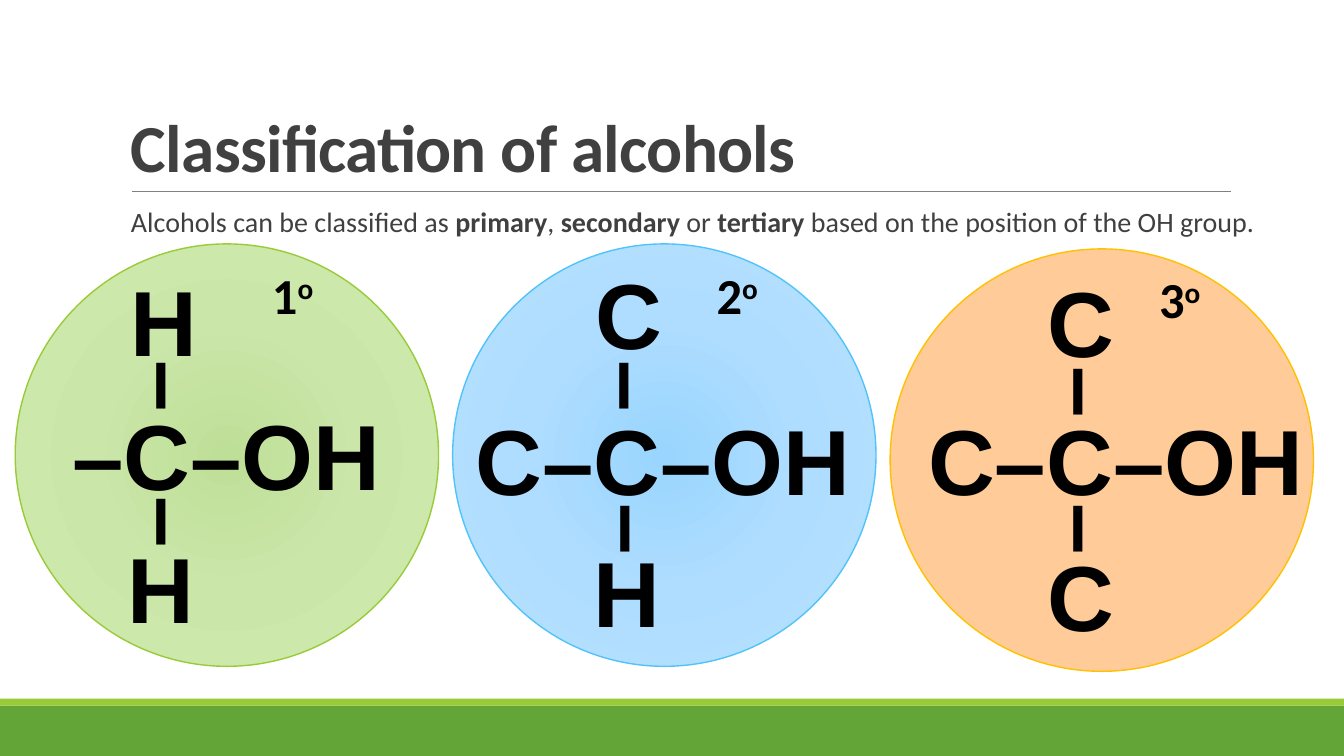
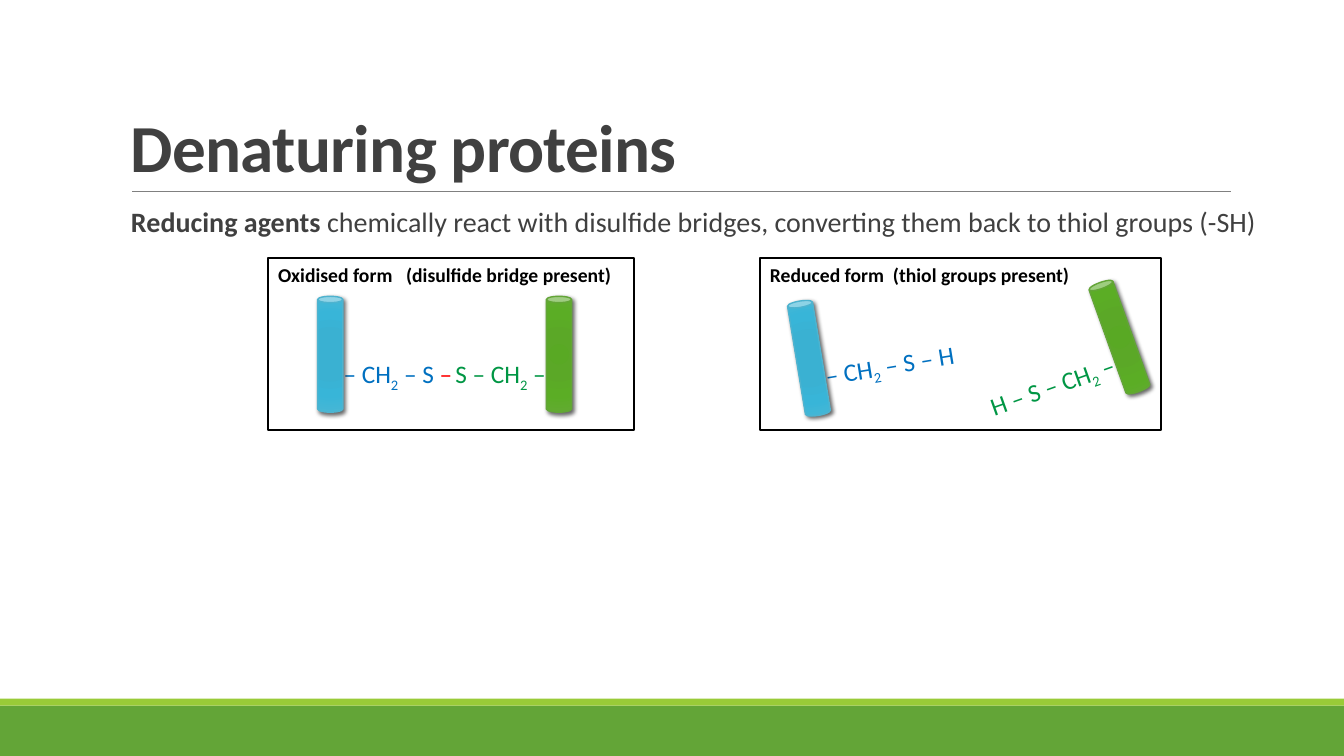
from dataclasses import dataclass
from typing import NamedTuple

from lxml.etree import SubElement
from pptx import Presentation
from pptx.dml.color import RGBColor
from pptx.enum.shapes import MSO_CONNECTOR, MSO_SHAPE
from pptx.enum.text import MSO_ANCHOR, PP_ALIGN
from pptx.oxml.ns import qn
from pptx.util import Emu, Inches, Pt


@dataclass(frozen=True)
class Theme:
    band: str = "63A537"
    stripe: str = "99CB38"
    rule: str = "808080"
    body: str = "404040"
    ink: str = "000000"
    blue: str = "0070C0"
    green: str = "009644"
    red: str = "FF0000"
    text_font: str = "Calibri"
    formula_font: str = "Arial"
    title_size: int = 48
    body_size: int = 20
    formula_size: int = 66
    degree_size: int = 36
    bridge_size: int = 18
    heading_size: int = 14


THEME = Theme()
WIDTH, HEIGHT = Inches(13.33), Inches(7.5)
SUPERSCRIPT, SUBSCRIPT = 30, -25


class Point(NamedTuple):
    """Percent of slide width and height."""
    x: float
    y: float


class Box(NamedTuple):
    """Left, top, width and height as percent of the slide."""
    x: float
    y: float
    w: float
    h: float

    def emu(self) -> tuple[Emu, ...]:
        return across(self.x), down(self.y), across(self.w), down(self.h)


class Span(NamedTuple):
    text: str
    bold: bool = False
    color: str | None = None
    baseline: int = 0


class Tone(NamedTuple):
    line: str
    stops: tuple[tuple[int, str], ...]


@dataclass(frozen=True)
class Atom:
    symbol: str
    at: Point


@dataclass(frozen=True)
class Molecule:
    degree: str
    degree_at: Point
    circle_at: Point
    tone: Tone
    chain: str
    chain_at: Point
    atoms: tuple[Atom, Atom]
    bonds: tuple[Point, Point]


@dataclass(frozen=True)
class Strand:
    cylinder_at: Point
    tone: Tone
    label_box: Box
    label: tuple[Span, ...]
    rotation: float = 0


@dataclass(frozen=True)
class Panel:
    frame: Box
    heading: str
    tab: float
    strands: tuple[Strand, Strand]


def across(percent: float) -> Emu:
    return Emu(round(WIDTH * percent / 100))


def down(percent: float) -> Emu:
    return Emu(round(HEIGHT * percent / 100))


# Content: alcohols
PRIMARY = Tone("99CB38", ((0, "BEDF97"), (45, "CAE6A9"), (100, "D0EDAE")))
SECONDARY = Tone("51C3F9", ((0, "99D5FE"), (45, "AEDDFF"), (100, "B8E1FF")))
TERTIARY = Tone("FFC000", ((0, "FFCC99"),))
MOLECULES = (
    Molecule("1", Point(19.5, 34.27), Point(1.13, 32.27), PRIMARY,
             "–C–OH", Point(4.65, 52),
             (Atom("H", Point(9, 34.27)), Atom("H", Point(8.78, 69.6))),
             (Point(9.6, 44), Point(9.6, 62))),
    Molecule("2", Point(52.58, 34.27), Point(33.68, 32.27), SECONDARY,
             "C–C–OH", Point(34.65, 52.67),
             (Atom("C", Point(43.58, 33.33)), Atom("H", Point(43.43, 70.13))),
             (Point(44.1, 44), Point(44.18, 62.93))),
    Molecule("3", Point(85.5, 34.8), Point(66.23, 32.93), TERTIARY,
             "C–C–OH", Point(68.33, 52.67),
             (Atom("C", Point(77.18, 34.4)), Atom("C", Point(77.18, 70.67))),
             (Point(77.85, 44.8), Point(77.85, 62.93))),
)
ALCOHOL_INTRO = (
    Span("Alcohols can be classified as "), Span("primary", True), Span(", "),
    Span("secondary", True), Span(" or "), Span("tertiary", True),
    Span(" based on the position of the OH group."),
)

# Content: proteins
BLUE_CYLINDER = Tone("4EB3CF", ((0, "37B1D3"), (34, "3AB1D2"), (70, "38B5D8"), (100, "48B7D5")))
GREEN_CYLINDER = Tone("63A537", ((0, "59A924"), (34, "5BA827"), (70, "5BAD25"), (100, "62AB31")))


def thiol(before: str, after: str, color: str) -> tuple[Span, ...]:
    return (Span(before, color=color), Span("2", color=color, baseline=SUBSCRIPT),
            Span(after, color=color))


PANELS = (
    Panel(Box(19.95, 34.13, 27.23, 22.8), "Oxidised form\t(disulfide bridge present)", 1.27, (
        Strand(Point(23.63, 39.2), BLUE_CYLINDER, Box(24.83, 46.8, 13.05, 5.33),
               thiol("– CH", " – S ", THEME.blue) + (Span("–", color=THEME.red),)),
        Strand(Point(40.65, 39.2), GREEN_CYLINDER, Box(33.15, 46.8, 10.13, 5.33),
               thiol("S – CH", " –", THEME.green)))),
    Panel(Box(56.55, 34.13, 29.85, 22.8), "Reduced form\t(thiol groups present)", 1.22, (
        Strand(Point(59.25, 39.73), BLUE_CYLINDER, Box(60.6, 45.33, 13.05, 5.33),
               thiol("– CH", " – S – H", THEME.blue), 350.6),
        Strand(Point(82.35, 36.93), GREEN_CYLINDER, Box(72.68, 48, 12.3, 5.33),
               thiol("H – S – CH", " –", THEME.green), 340.3))),
)
PROTEIN_INTRO = (
    Span("Reducing agents", True),
    Span(" chemically react with disulfide bridges, converting them back to thiol groups (-SH)"),
)


# Drawing helpers
def write(paragraph, spans: tuple[Span, ...], size: int, font: str = THEME.text_font,
          color: str = THEME.ink) -> None:
    for span in spans:
        run = paragraph.add_run()
        run.text = span.text
        run.font.name, run.font.size, run.font.bold = font, Pt(size), span.bold
        run.font.color.rgb = RGBColor.from_string(span.color or color)
        if span.baseline:
            run._r.get_or_add_rPr().set("baseline", str(span.baseline * 1000))


def add_text(slide, box: Box, spans: tuple[Span, ...], size: int,
             font: str = THEME.text_font, color: str = THEME.ink, rotation: float = 0):
    label = slide.shapes.add_textbox(*box.emu())
    label.rotation = rotation
    label.text_frame.word_wrap = True
    write(label.text_frame.paragraphs[0], spans, size, font, color)
    return label


def add_filled(slide, kind: MSO_SHAPE, box: Box, tone: Tone, line_width: float = 1):
    shape = slide.shapes.add_shape(kind, *box.emu())
    shape.shadow.inherit = False
    if line_width:
        shape.line.color.rgb = RGBColor.from_string(tone.line)
        shape.line.width = Pt(line_width)
    else:
        shape.line.fill.background()
    if len(tone.stops) == 1:
        shape.fill.solid()
        shape.fill.fore_color.rgb = RGBColor.from_string(tone.stops[0][1])
    else:
        shape.fill.gradient()
        gradient = shape._element.spPr.find(qn("a:gradFill"))
        gradient.clear()
        stops = SubElement(gradient, qn("a:gsLst"))
        for position, color in tone.stops:
            stop = SubElement(stops, qn("a:gs"), pos=str(position * 1000))
            SubElement(stop, qn("a:srgbClr"), val=color)
        circle = SubElement(gradient, qn("a:path"), path="circle")
        SubElement(circle, qn("a:fillToRect"), dict.fromkeys("ltrb", "100000"))
    return shape


def add_shadow(shape) -> None:
    effects = shape._element.spPr.find(qn("a:effectLst"))
    shadow = SubElement(effects, qn("a:outerShdw"), blurRad=str(Pt(3)), dist=str(Pt(2)),
                        dir=str(45 * 60000), rotWithShape="0")
    color = SubElement(shadow, qn("a:srgbClr"), val=THEME.ink)
    SubElement(color, qn("a:alpha"), val="60000")


def add_page(deck, title: str, intro: tuple[Span, ...]):
    slide = deck.slides.add_slide(deck.slide_layouts[6])
    # Footer bands and title rule
    for box, color in ((Box(0, 93.33, 100, 6.67), THEME.band),
                       (Box(0, 92.4, 100, 0.93), THEME.stripe)):
        add_filled(slide, MSO_SHAPE.RECTANGLE, box, Tone(color, ((0, color),)), 0)
    rule = slide.shapes.add_connector(MSO_CONNECTOR.STRAIGHT, across(9.83), down(25.33),
                                      across(91.58), down(25.33))
    rule.line.color.rgb = RGBColor.from_string(THEME.rule)
    rule.line.width = Pt(0.5)
    SubElement(rule._element.spPr, qn("a:effectLst"))
    # Title and introduction
    heading = add_text(slide, Box(9, 4.13, 82.5, 21.2), (Span(title, True),),
                       THEME.title_size, color=THEME.body).text_frame
    heading.vertical_anchor = MSO_ANCHOR.BOTTOM
    heading.paragraphs[0].line_spacing = 0.85
    heading.paragraphs[0].runs[0]._r.get_or_add_rPr().set("spc", "-50")
    lead = add_text(slide, Box(9.75, 26.93, 86, 5.33), intro,
                    THEME.body_size, color=THEME.body).text_frame
    lead.margin_left = lead.margin_right = 0
    lead.paragraphs[0].line_spacing = 0.9
    return slide


# Slide parts
def draw_molecule(slide, molecule: Molecule) -> None:
    def formula(text: str, at: Point, width: float, rotation: float = 0) -> None:
        add_text(slide, Box(*at, width, 16.13), (Span(text, True),), THEME.formula_size,
                 THEME.formula_font, rotation=rotation)

    add_filled(slide, MSO_SHAPE.OVAL, Box(*molecule.circle_at, 31.5, 55.87), molecule.tone)
    formula(molecule.chain, molecule.chain_at, 29.93)
    for bond in molecule.bonds:
        formula("–", bond, 6.45, 90)
    for atom in molecule.atoms:
        formula(atom.symbol, atom.at, 7.43)
    add_text(slide, Box(*molecule.degree_at, 10, 9.47),
             (Span(molecule.degree, True), Span("o", True, baseline=SUPERSCRIPT)),
             THEME.degree_size)


def draw_panel(slide, panel: Panel) -> None:
    for strand in panel.strands:
        add_text(slide, strand.label_box, strand.label, THEME.bridge_size,
                 rotation=strand.rotation)
        cylinder = add_filled(slide, MSO_SHAPE.CAN, Box(*strand.cylinder_at, 1.88, 15.33),
                              strand.tone)
        cylinder.rotation = strand.rotation
        add_shadow(cylinder)
    frame = add_filled(slide, MSO_SHAPE.RECTANGLE, panel.frame,
                       Tone(THEME.ink, ((0, THEME.ink),)), 1.25)
    frame.fill.background()
    frame.text_frame.vertical_anchor = MSO_ANCHOR.TOP
    paragraph = frame.text_frame.paragraphs[0]
    paragraph.alignment = PP_ALIGN.LEFT
    tabs = SubElement(paragraph._p.get_or_add_pPr(), qn("a:tabLst"))
    SubElement(tabs, qn("a:tab"), pos=str(Inches(panel.tab)), algn="l")
    write(paragraph, (Span(panel.heading, True),), THEME.heading_size)


def main() -> None:
    deck = Presentation()
    deck.slide_width, deck.slide_height = WIDTH, HEIGHT
    alcohols = add_page(deck, "Classification of alcohols", ALCOHOL_INTRO)
    for molecule in MOLECULES:
        draw_molecule(alcohols, molecule)
    proteins = add_page(deck, "Denaturing proteins", PROTEIN_INTRO)
    for panel in PANELS:
        draw_panel(proteins, panel)
    deck.save("out.pptx")


if __name__ == "__main__":
    main()
